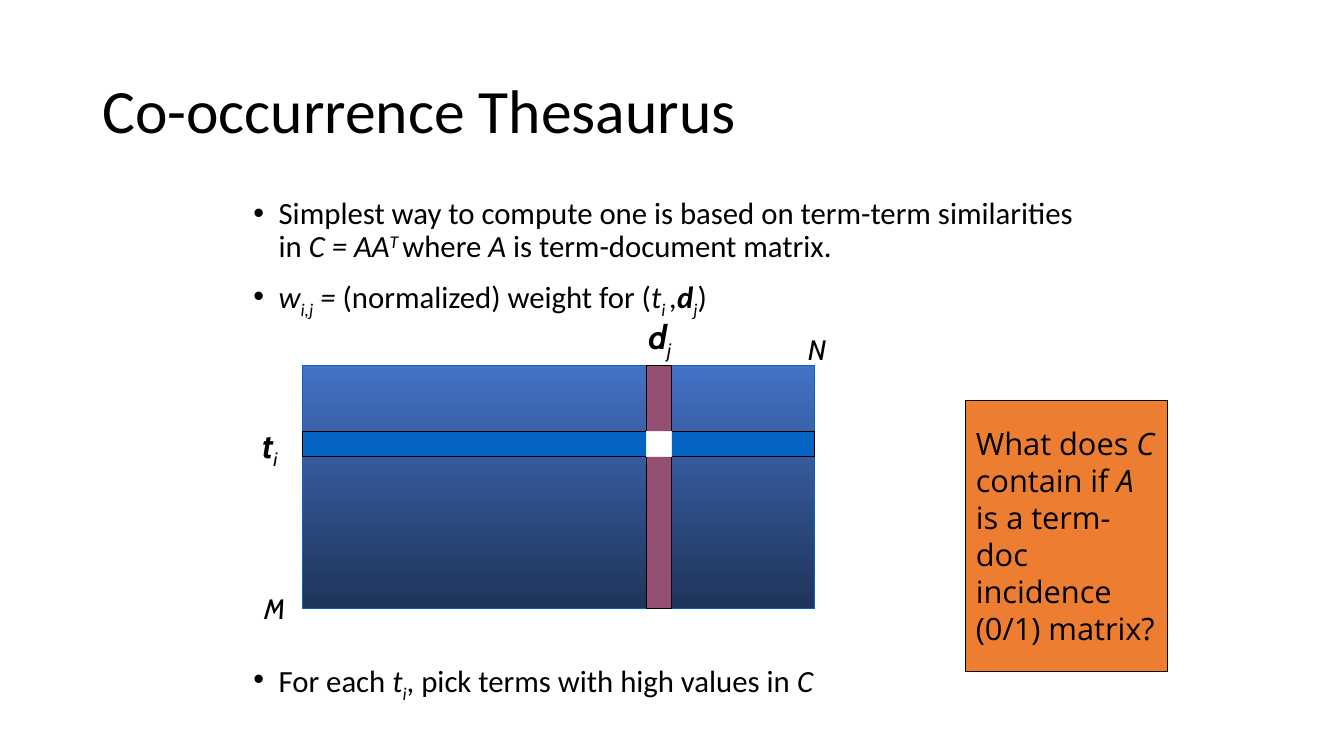
"""Build the co-occurrence thesaurus slide."""
from dataclasses import dataclass

from lxml import etree
from pptx import Presentation
from pptx import util as u
from pptx.dml import color
from pptx.enum import shapes, text
from pptx.oxml import ns


@dataclass(frozen=True)
class Theme:
    """Colours, fonts and type sizes of the slide."""
    ink: str = "000000"
    matrix_top: str = "4472C4"
    matrix_bottom: str = "1F345A"
    row: str = "0563C1"
    column: str = "954F72"
    cell: str = "FFFFFF"
    cell_line: str = "E7E6E6"
    question: str = "ED7D31"
    body_font: str = "Calibri"
    label_font: str = "Cabin"
    question_font: str = "Open Sans"
    title_size: int = 44
    body_size: int = 22
    vector_size: int = 24
    extent_size: int = 20


THEME = Theme()
BASELINES = {"_": "-25000", "^": "30000"}


def rgb(value):
    """Turn a hex string into a colour."""
    return color.RGBColor.from_string(value)


def apply(target, values):
    """Set attributes from a dict of format values."""
    for name, value in values.items():
        setattr(target, name, value)


def add_runs(paragraph, runs, font, size):
    """Add (text, marks) runs; marks are b, i, _ for subscript and ^ for superscript."""
    for content, marks in runs:
        run = paragraph.add_run()
        run.text = content
        apply(run.font, {"name": font, "size": u.Pt(size), "bold": "b" in marks, "italic": "i" in marks})
        run.font.color.rgb = rgb(THEME.ink)
        for mark, offset in BASELINES.items():
            if mark in marks:
                run.font._element.set("baseline", offset)


def add_bullet(paragraph):
    """Give a paragraph a hanging bullet."""
    properties = paragraph._p.get_or_add_pPr()
    properties.set("marL", str(u.Pt(18)))
    properties.set("indent", str(-u.Pt(18)))
    etree.SubElement(properties, ns.qn("a:buFont")).set("typeface", "Arial")
    etree.SubElement(properties, ns.qn("a:buChar")).set("char", "•")


def add_text(slide, box, paragraphs, font, size, anchor=text.MSO_ANCHOR.TOP, spacing=1.0, gaps=None):
    """Add a text box; gaps gives the space before each bulleted paragraph."""
    frame = slide.shapes.add_textbox(*map(u.Pt, box)).text_frame
    apply(frame, {"word_wrap": True, "vertical_anchor": anchor})
    for index, runs in enumerate(paragraphs):
        paragraph = frame.add_paragraph() if index else frame.paragraphs[0]
        apply(paragraph, {"line_spacing": spacing, "space_before": u.Pt(gaps[index] if gaps else 0)})
        if gaps:
            add_bullet(paragraph)
        add_runs(paragraph, runs, font, size)


def add_block(slide, box, fills, line):
    """Add an outlined rectangle with a plain fill or a vertical gradient."""
    shape = slide.shapes.add_shape(shapes.MSO_SHAPE.RECTANGLE, *map(u.Pt, box))
    shape.shadow.inherit = False
    if len(fills) == 1:
        shape.fill.solid()
        shape.fill.fore_color.rgb = rgb(fills[0])
    else:
        shape.fill.gradient()
        shape.fill.gradient_angle = 270
        for position, (stop, value) in enumerate(zip(shape.fill.gradient_stops, fills)):
            stop.position = position
            stop.color.rgb = rgb(value)
    shape.line.color.rgb = rgb(line)
    shape.line.width = u.Pt(0.75)
    return shape


def add_question(slide, box, runs):
    """Add the filled box that holds the question."""
    shape = add_block(slide, box, [THEME.question], THEME.ink)
    apply(shape.text_frame, {"word_wrap": True, "vertical_anchor": text.MSO_ANCHOR.MIDDLE})
    paragraph = shape.text_frame.paragraphs[0]
    paragraph.alignment = text.PP_ALIGN.LEFT
    add_runs(paragraph, runs, THEME.question_font, THEME.body_size)


def add_matrix(slide):
    """Draw the term-document matrix with its marked row, column and labels."""
    left, top, width, height = 216, 261, 366, 174
    row_top, column_left, band = 308, 462, 18
    add_block(slide, (left, top, width, height), [THEME.matrix_top, THEME.matrix_bottom], THEME.row)
    add_block(slide, (left, row_top, width, band), [THEME.row], THEME.ink)
    add_block(slide, (column_left, top, band, height), [THEME.column], THEME.ink)
    add_block(slide, (column_left, row_top, band, band), [THEME.cell], THEME.cell_line)
    labels = [
        (180, 300, [("t", "bi"), ("i", "i_")], THEME.vector_size),
        (456, 222, [("d", "bi"), ("j", "i_")], THEME.vector_size),
        (570, 234, [("N", "i")], THEME.extent_size),
        (181.5, 419, [("M", "i")], THEME.extent_size),
    ]
    for x, y, runs, size in labels:
        add_text(slide, (x, y, 54, 36), [runs], THEME.label_font, size)


def main():
    """Build and save the slide."""
    presentation = Presentation()
    apply(presentation, {"slide_width": u.Pt(960), "slide_height": u.Pt(540)})
    slide = presentation.slides.add_slide(presentation.slide_layouts[6])
    add_text(slide, (66, 28.75, 828, 104.4), [[("Co-occurrence Thesaurus", "")]],
             THEME.body_font, THEME.title_size, text.MSO_ANCHOR.MIDDLE, 0.9)
    bullets = [
        [("Simplest way to compute one is based on term-term similarities in ", ""), ("C = AA", "i"),
         ("T ", "i^"), ("where ", ""), ("A", "i"), (" is term-document matrix.", "")],
        [("w", "i"), ("i,j", "i_"), (" = ", "i"), ("(normalized) weight for (", ""), ("t", "i"),
         ("i ", "i_"), (",", "i"), ("d", "bi"), ("j", "i_"), (")", "")],
        [("For each ", ""), ("t", "i"), ("i", "i_"), (", pick terms with high values in ", ""), ("C", "i")],
    ]
    add_text(slide, (174, 138, 612, 392), bullets, THEME.body_font, THEME.body_size,
             spacing=0.9, gaps=(0, 10, 247))
    add_matrix(slide)
    add_question(slide, (690, 286, 144, 193.5),
                 [("What does ", ""), ("C", "i"), (" contain if ", ""), ("A", "i"),
                  (" is a term-doc incidence (0/1) matrix?", "")])
    presentation.save("out.pptx")


if __name__ == "__main__":
    main()
